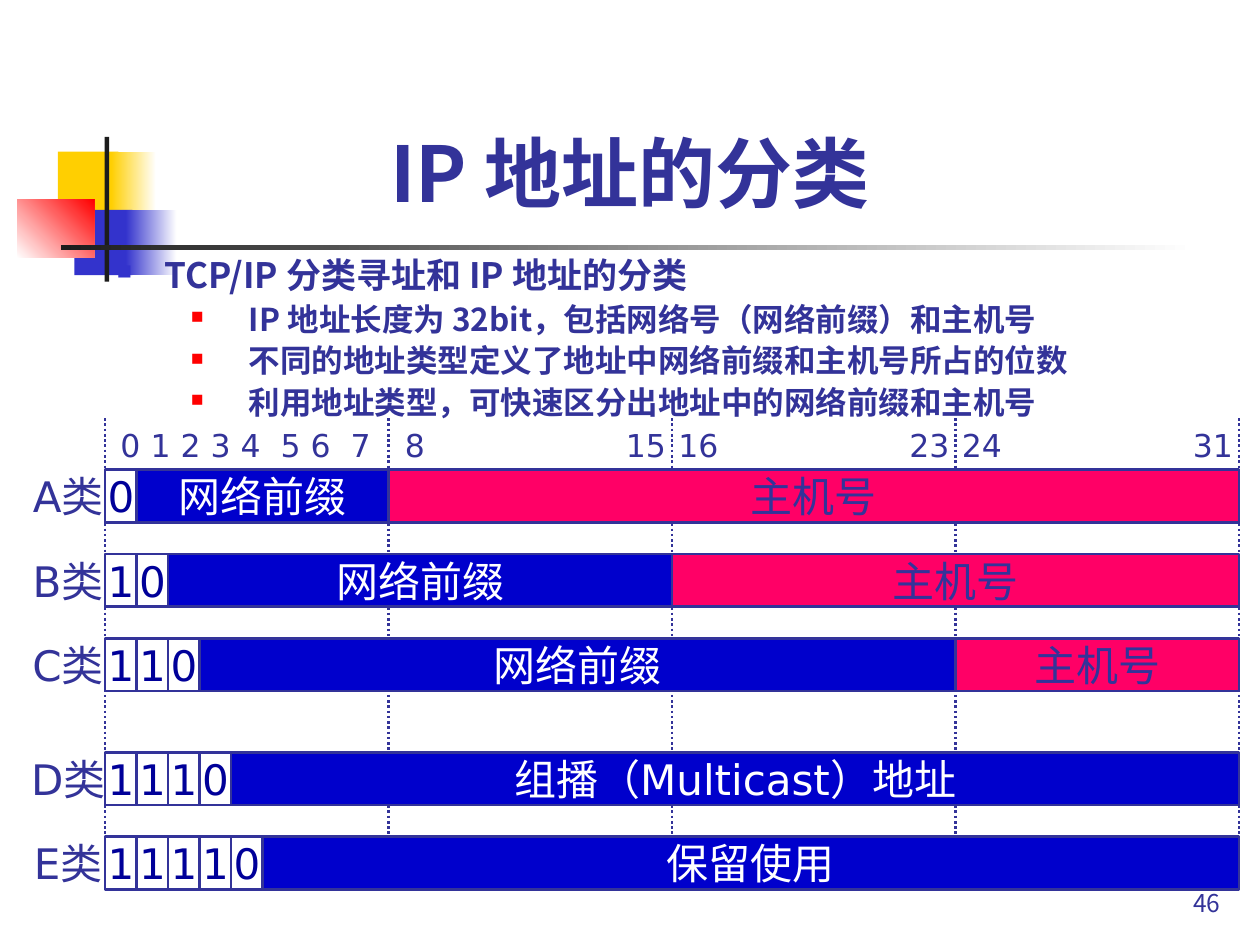
from lxml import etree
from pptx import Presentation
from pptx.dml.color import RGBColor
from pptx.enum.dml import MSO_LINE_DASH_STYLE as Dash
from pptx.enum.shapes import MSO_CONNECTOR as Connector, MSO_SHAPE as Shape
from pptx.enum.text import MSO_ANCHOR as Anchor, PP_ALIGN as Align
from pptx.oxml.ns import qn
from pptx.util import Cm, Pt

COLORS = {
    "ink": "333399", "navy": "000099", "blue": "0000CC", "pink": "FF0066",
    "white": "FFFFFF", "yellow": "FFCF01", "indigo": "3333CC", "red": "FF0000",
    "black": "1C1C1C",
}
SANS, CJK = "DejaVu Sans", "Noto Sans CJK JP"
LEFT, WIDTH, BAR = 2.12, 22.86, 1.06
OCTET = WIDTH / 4
FLAG = OCTET / 9
SCALE_TOP, SPLIT, BOTTOM = 8.43, 13.9, 17.93
LABEL_WIDTH, LABEL_GAP = 1, 0.03


def color(name):
    """Return the named colour."""
    return RGBColor.from_string(COLORS[name])


def write(para, text, size=24, font=SANS, ink="ink", bold=False, align=Align.CENTER):
    """Add formatted text to a paragraph."""
    para.alignment = align
    span = para.add_run()
    span.text = text
    span.font.size, span.font.bold, span.font.name = Pt(size), bold, font
    span.font.color.rgb = color(ink)
    east = etree.SubElement(span.font._element, qn("a:ea"))
    east.set("typeface", font)


class Painter:
    """Hold the slide and its drawing style."""

    def __init__(self, page):
        """Start on a page."""
        self.page = page

    def block(self, left, top, width, height, fill, end=None, angle=0):
        """Draw a plain or gradient rectangle without an outline."""
        box = self.page.shapes.add_shape(
            Shape.RECTANGLE, Cm(left), Cm(top), Cm(width), Cm(height))
        box.shadow.inherit = False
        box.line.fill.background()
        if end:
            box.fill.gradient()
            box.fill.gradient_angle = angle
            for stop, name in zip(box.fill.gradient_stops, (fill, end)):
                stop.color.rgb = color(name)
        else:
            box.fill.solid()
            box.fill.fore_color.rgb = color(fill)
        return box

    def bar(self, left, top, width, text, fill, ink):
        """Draw an outlined field of an address."""
        box = self.block(left, top, width, BAR, fill)
        box.line.color.rgb = color("ink")
        box.line.width = Pt(1.5)
        box.text_frame.word_wrap = False
        box.text_frame.vertical_anchor = Anchor.MIDDLE
        write(box.text_frame.paragraphs[0], text, ink=ink)

    def label(self, left, top, width, text, height=BAR, anchor=Anchor.MIDDLE, **style):
        """Place a text box without side margins."""
        box = self.page.shapes.add_textbox(Cm(left), Cm(top), Cm(width), Cm(height))
        frame = box.text_frame
        frame.word_wrap = True
        frame.vertical_anchor = anchor
        frame.margin_left = frame.margin_right = 0
        write(frame.paragraphs[0], text, **style)
        return box

    def dotted(self, x, top, bottom):
        """Draw a vertical dotted line."""
        line = self.page.shapes.add_connector(
            Connector.STRAIGHT, Cm(x), Cm(top), Cm(x), Cm(bottom))
        line.line.color.rgb = color("ink")
        line.line.width = Pt(1.5)
        line.line.dash_style = Dash.ROUND_DOT
        etree.SubElement(line._element.spPr, qn("a:effectLst"))

    def title(self, text):
        """Fill the title placeholder."""
        box = self.page.shapes.title
        box.left, box.top, box.width, box.height = Cm(0), Cm(2.18), Cm(25.4), Cm(2.34)
        box.text_frame.vertical_anchor = Anchor.BOTTOM
        write(box.text_frame.paragraphs[0], text, size=44, font=CJK, bold=True)

    def bullets(self, left, top, width, height, items):
        """Write a two-level bulleted list."""
        levels = [(20, 0.97, 0.97, 5, "indigo", 60), (18, 2.67, 1.17, 4.5, "red", 55)]
        box = self.page.shapes.add_textbox(Cm(left), Cm(top), Cm(width), Cm(height))
        frame = box.text_frame
        frame.word_wrap = True
        for index, (level, text) in enumerate(items):
            size, margin, hang, before, mark, percent = levels[level]
            para = frame.add_paragraph() if index else frame.paragraphs[0]
            para.level = level
            para.line_spacing, para.space_before = 0.9, Pt(before)
            write(para, text, size=size, font=CJK, bold=True, align=Align.LEFT)
            props = para._p.get_or_add_pPr()
            props.set("marL", str(Cm(margin)))
            props.set("indent", str(-Cm(hang)))
            tint = etree.SubElement(props, qn("a:buClr"))
            etree.SubElement(tint, qn("a:srgbClr")).set("val", COLORS[mark])
            etree.SubElement(props, qn("a:buSzPct")).set("val", str(percent * 1000))
            etree.SubElement(props, qn("a:buChar")).set("char", "■")

    def first_octet(self, text, stops):
        """Write the bit numbers of the first octet with tab stops."""
        box = self.label(2.43, SCALE_TOP, 5.29, text, size=18, align=Align.LEFT)
        props = box.text_frame.paragraphs[0]._p.get_or_add_pPr()
        tabs = etree.SubElement(props, qn("a:tabLst"))
        for stop in stops:
            tab = etree.SubElement(tabs, qn("a:tab"))
            tab.set("pos", str(Cm(stop)))
            tab.set("algn", "l")


deck = Presentation()
deck.slide_width, deck.slide_height = Cm(25.4), Cm(19.05)
painter = Painter(deck.slides.add_slide(deck.slide_layouts[5]))

for ornament in [
    (1.17, 3.06, 1.22, 1.32, "yellow"),
    (2.24, 3.06, 0.91, 1.32, "yellow", "white"),
    (1.5, 4.23, 1.17, 1.32, "indigo"),
    (2.54, 4.23, 1.02, 1.32, "indigo", "white"),
    (0.35, 4.02, 1.55, 1.18, "white", "red", 45),
    (2.11, 2.76, 0.09, 2.92, "black"),
    (1.23, 4.94, 22.86, 0.1, "black", "white"),
]:
    painter.block(*ornament)

painter.label(19.56, 17.35, 5.04, "46", height=1.27, anchor=Anchor.BOTTOM,
              size=14, font=CJK, align=Align.RIGHT)
painter.title("IP 地址的分类")
painter.bullets(2.1, 5.08, 22.66, 3.66, [
    (0, "TCP/IP 分类寻址和 IP 地址的分类"),
    (1, "IP 地址长度为 32bit，包括网络号（网络前缀）和主机号"),
    (1, "不同的地址类型定义了地址中网络前缀和主机号所占的位数"),
    (1, "利用地址类型，可快速区分出地址中的网络前缀和主机号"),
])

for octet in range(5):
    x = LEFT + octet * OCTET
    painter.dotted(x, SCALE_TOP, SPLIT)
    painter.dotted(x, SPLIT, BOTTOM)
    if 0 < octet < 4:
        painter.label(x + LABEL_GAP, SCALE_TOP, LABEL_WIDTH, str(octet * 8), size=18)
    if octet > 1:
        painter.label(x - LABEL_GAP - LABEL_WIDTH, SCALE_TOP, LABEL_WIDTH,
                      str(octet * 8 - 1), size=18)
painter.first_octet("0 1 2 3 4\t5 6\t7", [3.23, 4.64])

for name, top, flags, field, octets in [
    ("A", 9.47, "0", "网络前缀", 1),
    ("B", 11.17, "10", "网络前缀", 2),
    ("C", 12.87, "110", "网络前缀", 3),
    ("D", 15.17, "1110", "组播（Multicast）地址", 4),
    ("E", 16.87, "11110", "保留使用", 4),
]:
    start, end = LEFT + len(flags) * FLAG, LEFT + octets * OCTET
    painter.bar(start, top, end - start, field, "blue", "white")
    if octets < 4:
        painter.bar(end, top, LEFT + WIDTH - end, "主机号", "pink", "ink")
    for index, flag in enumerate(flags):
        painter.bar(LEFT + index * FLAG, top, FLAG, flag, "white", "navy")
    painter.label(0.42, top, 1.91, name + "类")

deck.save("out.pptx")
